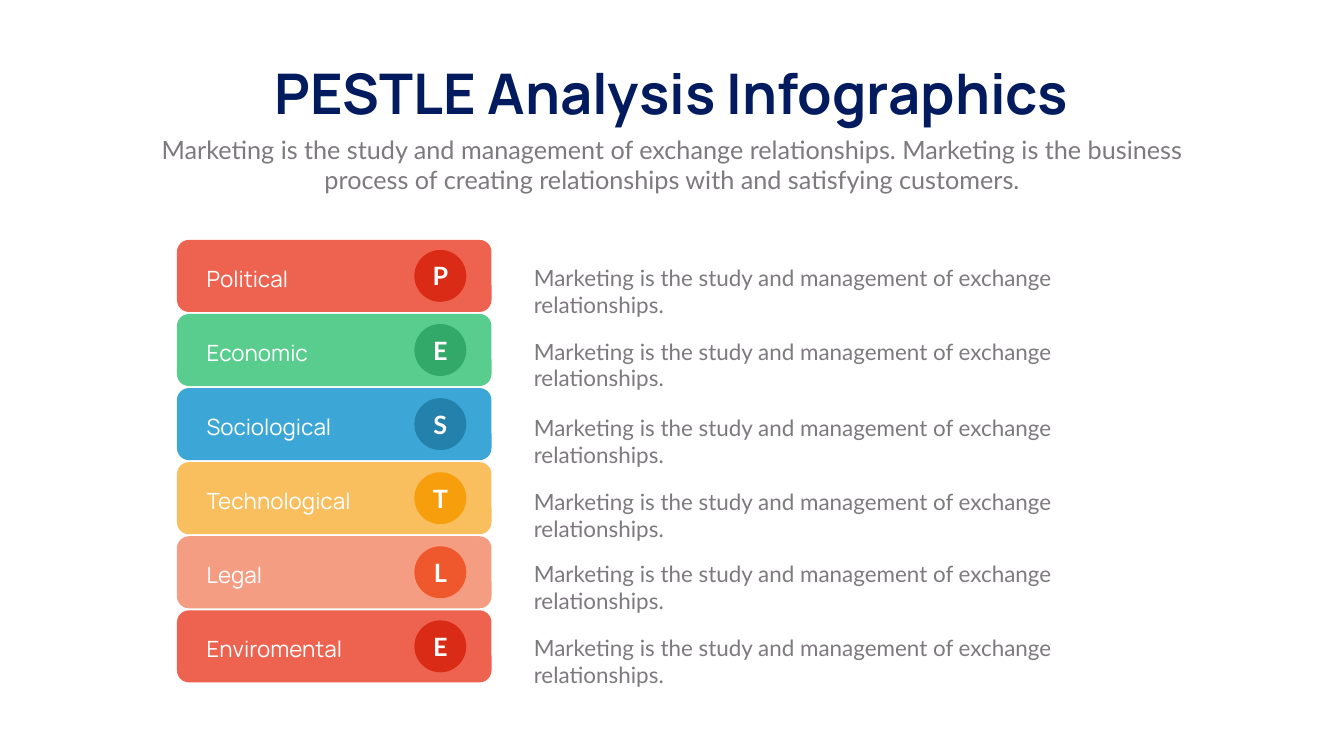
from pptx import Presentation
from pptx.dml.color import RGBColor
from pptx.enum.shapes import MSO_SHAPE as SHAPE
from pptx.enum.text import MSO_ANCHOR as ANCHOR, MSO_AUTO_SIZE as FIT, PP_ALIGN as ALIGN
from pptx.util import Pt

PX = 9144  # EMU, 100 px to the inch

COLORS = {
    "navy": "011B5E", "grey": "7D797E", "white": "FFFFFF",
    "coral": "EE6250", "red": "D92B15",
    "mint": "58CD8E", "green": "33A969",
    "sky": "3CA7D7", "blue": "2381AB",
    "sand": "F9BF5F", "amber": "F69E0C",
    "peach": "F59D83", "orange": "EE582C",
}

TITLE = {"name": "Manrope", "size": Pt(80), "bold": True}
BODY = {"name": "Lato", "size": Pt(36)}
LABEL = {"name": "Manrope", "size": Pt(32)}
NOTE = {"name": "Lato", "size": Pt(32)}
LETTER = {"name": "Lato", "size": Pt(36), "bold": True}

NOTE_TEXT = "Marketing is the study and management of exchange relationships."
INTRO_TEXT = ("Marketing is the study and management of exchange relationships. "
              "Marketing is the business process of creating relationships "
              "with and satisfying customers.")

# label, bar colour, badge colour, top of the note within its row
FACTORS = [
    ("Political", "coral", "red", 43),
    ("Economic", "mint", "green", 42),
    ("Sociological", "sky", "blue", 47),
    ("Technological", "sand", "amber", 46),
    ("Legal", "peach", "orange", 43),
    ("Enviromental", "coral", "red", 43),
]


def emu(*lengths):
    return [n * PX for n in lengths]


def write(tf, text, fmt, color, align=ALIGN.LEFT):
    p = tf.paragraphs[0]
    p.alignment = align
    r = p.add_run()
    r.text = text
    for name, value in fmt.items():
        setattr(r.font, name, value)
    r.font.color.rgb = RGBColor.from_string(COLORS[color])


def add_text(s, box, text, fmt, color, align=ALIGN.LEFT, wrap=True):
    tf = s.shapes.add_textbox(*emu(*box)).text_frame
    tf.word_wrap = wrap
    tf.auto_size = FIT.SHAPE_TO_FIT_TEXT
    write(tf, text, fmt, color, align)


def add_filled(s, kind, box, color):
    sp = s.shapes.add_shape(kind, *emu(*box))
    sp.shadow.inherit = False
    sp.fill.solid()
    sp.fill.fore_color.rgb = RGBColor.from_string(COLORS[color])
    sp.line.fill.background()
    return sp


def add_badge(s, box, letter, color):
    tf = add_filled(s, SHAPE.OVAL, box, color).text_frame
    tf.vertical_anchor = ANCHOR.MIDDLE
    for side in ("left", "right", "top", "bottom"):
        setattr(tf, f"margin_{side}", 0)
    write(tf, letter, LETTER, "white", ALIGN.CENTER)


def add_header(s, x, y, w):
    add_text(s, (x + 204, y, w - 408, 145), "PESTLE Analysis Infographics",
             TITLE, "navy", ALIGN.CENTER, wrap=False)
    add_text(s, (x, y + 149, w, 131), INTRO_TEXT, BODY, "grey", ALIGN.CENTER)


def add_factor(s, x, y, w, h, factor):
    """Place one bar with its label and badge, and the note to its right."""
    label, bar, badge, note_top = factor
    add_filled(s, SHAPE.ROUNDED_RECTANGLE, (x, y, w, h), bar)
    add_text(s, (x + 49, y + 45, 349, 64), label, LABEL, "white")
    size = h - 40
    add_badge(s, (x + w - 50 - size, y + 20, size, size), label[0], badge)
    add_text(s, (x + w + 74, y + note_top, 1276, 64), NOTE_TEXT, NOTE, "grey")


def add_factors(s, x, y, w, h, gap):
    for i, factor in enumerate(FACTORS):
        add_factor(s, x, y + i * (h + gap), w, h, factor)


def main():
    prs = Presentation()
    prs.slide_width, prs.slide_height = emu(2666, 1500)
    s = prs.slides.add_slide(prs.slide_layouts[6])
    add_header(s, 292, 112, 2082)
    add_factors(s, 351, 476, 624, 143, 4)
    prs.save("out.pptx")


if __name__ == "__main__":
    main()
